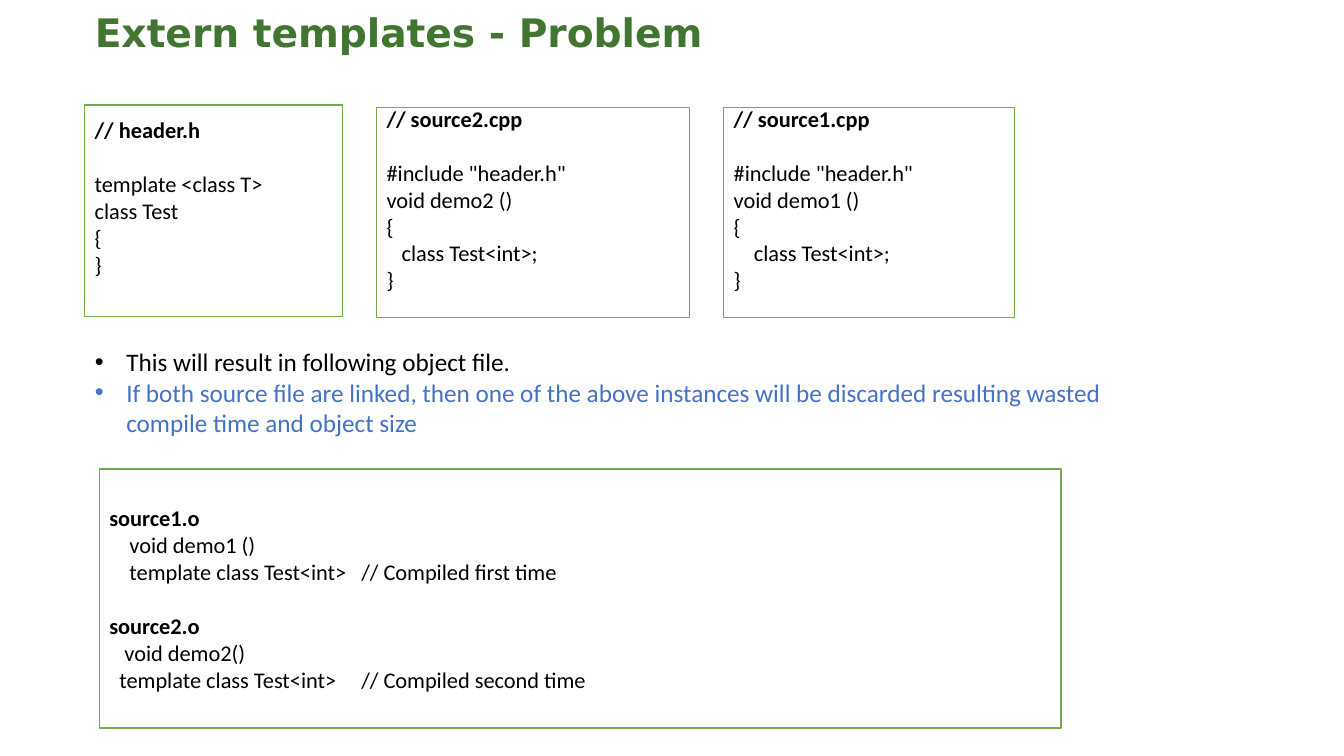
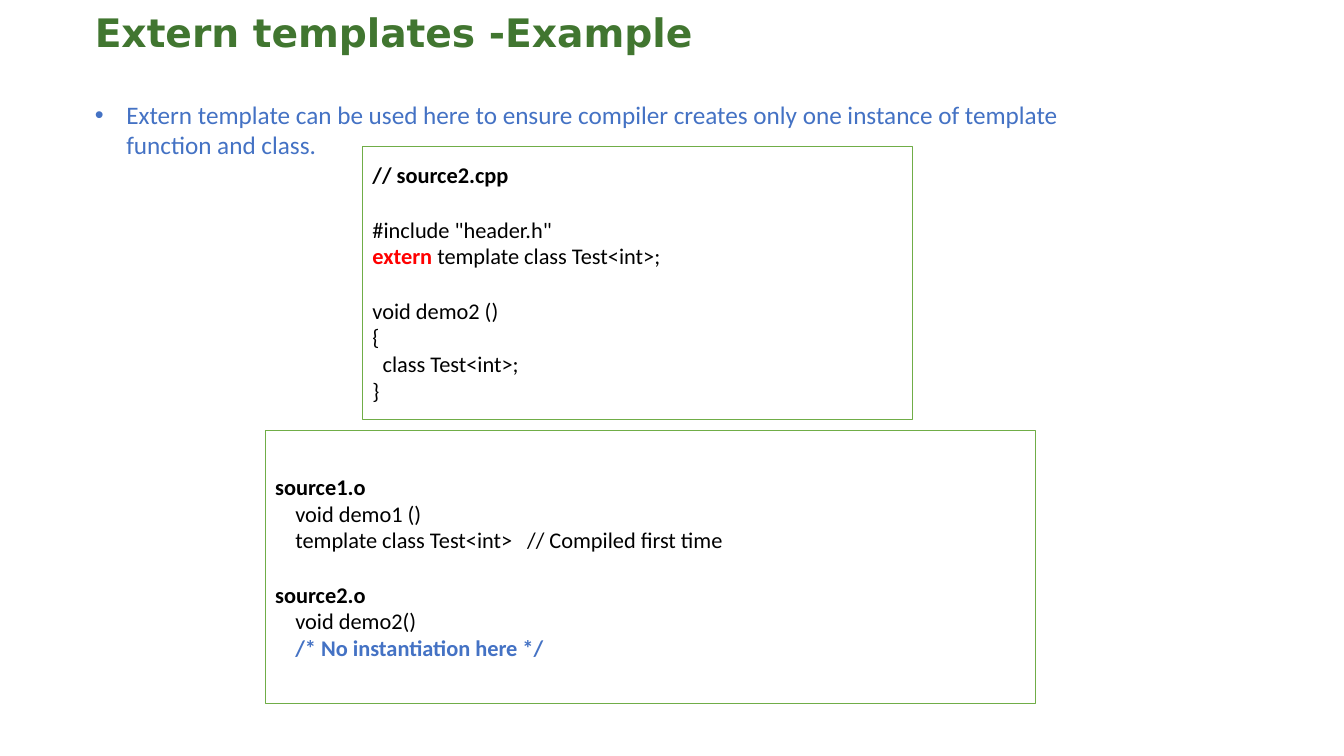
from dataclasses import dataclass

from pptx import Presentation
from pptx.dml.color import RGBColor
from pptx.enum import shapes, text as tx
from pptx.oxml import ns, xmlchemy as xc
from pptx.util import Pt

HUES = {"title": "417630", "edge": "70AD47", "fill": "FFFFFF",
        "ink": "000000", "note": "4472C4", "alert": "FF0000"}
SPACE = 3.6
BLANK = 19.5
LEFT = 60.5


@dataclass(frozen=True)
class Line:
    text: str
    bold: bool = False
    hue: str = "ink"
    dent: int = 0
    gap: float = 0
    tab: float = 0
    lead: str = ""


@dataclass(frozen=True)
class Box:
    x: float
    y: float
    w: float
    h: float
    lines: tuple[Line, ...]
    foot: float = 0


@dataclass(frozen=True)
class Page:
    title: str
    list: Box
    boxes: tuple[Box, ...]


def put(para, text: str, size: float = 16, bold: bool = False,
        hue: str = "ink", face: str = "Calibri") -> None:
    run = para.add_run()
    run.text = text
    font = run.font
    font.size, font.bold, font.name = Pt(size), bold, face
    font.color.rgb = RGBColor.from_string(HUES[hue])


def place(shape, x: float, y: float, w: float, h: float) -> None:
    shape.left, shape.top, shape.width, shape.height = map(Pt, (x, y, w, h))


def indent(para, left: float, first: float):
    props = para._p.get_or_add_pPr()
    props.set("marL", str(Pt(left)))
    props.set("indent", str(Pt(first)))
    return props


def add_tab(props, pos: float) -> None:
    stops = xc.OxmlElement("a:tabLst")
    stop = xc.OxmlElement("a:tab")
    stop.set("pos", str(Pt(pos)))
    stop.set("algn", "l")
    stops.append(stop)
    props.append(stops)


def fill_in(frame, lines: tuple[Line, ...], size: float, bullet: bool) -> None:
    for i, line in enumerate(lines):
        para = frame.add_paragraph() if i else frame.paragraphs[0]
        para.alignment = tx.PP_ALIGN.LEFT
        para.space_before = Pt(line.gap)
        if bullet:
            indent(para, 22.5, -22.5)
        else:
            props = indent(para, 0, line.dent * SPACE)
            if line.tab:
                add_tab(props, line.tab)
        if line.lead:
            put(para, line.lead, size, True, "alert")
        put(para, line.text, size, line.bold, line.hue)


def draw_box(slide, box: Box) -> None:
    shape = slide.shapes.add_shape(shapes.MSO_SHAPE.RECTANGLE,
                                   *map(Pt, (box.x, box.y, box.w, box.h)))
    shape.shadow.inherit = False
    shape.fill.solid()
    shape.fill.fore_color.rgb = RGBColor.from_string(HUES["fill"])
    shape.line.color.rgb = RGBColor.from_string(HUES["edge"])
    shape.line.width = Pt(1)
    frame = shape.text_frame
    frame.word_wrap = True
    frame.vertical_anchor = tx.MSO_ANCHOR.MIDDLE
    frame.margin_bottom = Pt(3.6 + box.foot)
    fill_in(frame, box.lines, 16, False)


def draw_page(deck, page: Page) -> None:
    slide = deck.slides.add_slide(deck.slide_layouts[1])
    title, body = slide.shapes.title, slide.placeholders[1]
    place(title, LEFT, 10, 839, 65)
    frame = title.text_frame
    frame.auto_size = tx.MSO_AUTO_SIZE.NONE
    frame.vertical_anchor = tx.MSO_ANCHOR.TOP
    frame.margin_top = 0
    para = frame.paragraphs[0]
    para.alignment = tx.PP_ALIGN.LEFT
    para.line_spacing = 0.9
    put(para, page.title, 28, True, "title", "DejaVu Sans")
    spot = page.list
    place(body, spot.x, spot.y, spot.w, spot.h)
    body.text_frame.auto_size = tx.MSO_AUTO_SIZE.NONE
    fill_in(body.text_frame, spot.lines, 18, True)
    for box in page.boxes:
        draw_box(slide, box)


def source(num: int, dent: int) -> tuple[Line, ...]:
    return (Line(f"// source{num}.cpp", bold=True),
            Line('#include "header.h"', gap=BLANK),
            Line(f"void demo{num} ()"),
            Line("{"),
            Line("class Test<int>;", dent=dent),
            Line("}"))


HEADER = (Line("// header.h", bold=True),
          Line("template <class T>", gap=BLANK),
          Line("class Test"),
          Line("{"),
          Line("}"))
OBJECT = (Line("source1.o", bold=True),
          Line("void demo1 ()", dent=4),
          Line("template class Test<int>\t// Compiled first time", dent=4, tab=288),
          Line("source2.o", bold=True, gap=BLANK))
TWICE = OBJECT + (
    Line("void demo2()", dent=3),
    Line("template class Test<int>\t// Compiled second time", dent=2, tab=209))
ONCE = OBJECT + (
    Line("void demo2()", dent=4),
    Line("/* No instantiation here */", bold=True, hue="note", dent=4))
EXTERN = source(2, 2)
EXTERN = EXTERN[:2] + (
    Line(" template class Test<int>;", lead="extern"),
    Line("void demo2 ()", gap=BLANK)) + EXTERN[3:]

PAGES = (
    Page("Extern templates - Problem",
         Box(LEFT, 244, 737, 73, (
             Line("This will result in following object file."),
             Line("If both source file are linked, then one of the above instances "
                  "will be discarded resulting wasted compile time and object size",
                  hue="note"))),
         (Box(LEFT, 75, 184, 151, HEADER, BLANK),
          Box(517, 77, 207.5, 150, source(1, 4), BLANK),
          Box(269, 77, 223.5, 150, source(2, 3), BLANK),
          Box(71, 335, 687, 185, TWICE))),
    Page("Extern templates -Example",
         Box(LEFT, 67.5, 737, 51, (
             Line("Extern template can be used here to ensure compiler creates only "
                  "one instance of template function and class.", hue="note"),)),
         (Box(189.5, 307.5, 550, 195, ONCE),
          Box(259, 104.5, 393, 195, EXTERN))))


def main() -> None:
    deck = Presentation()
    deck.slide_width, deck.slide_height = Pt(960), Pt(540)
    for page in PAGES:
        draw_page(deck, page)
    deck.save("out.pptx")


if __name__ == "__main__":
    main()
